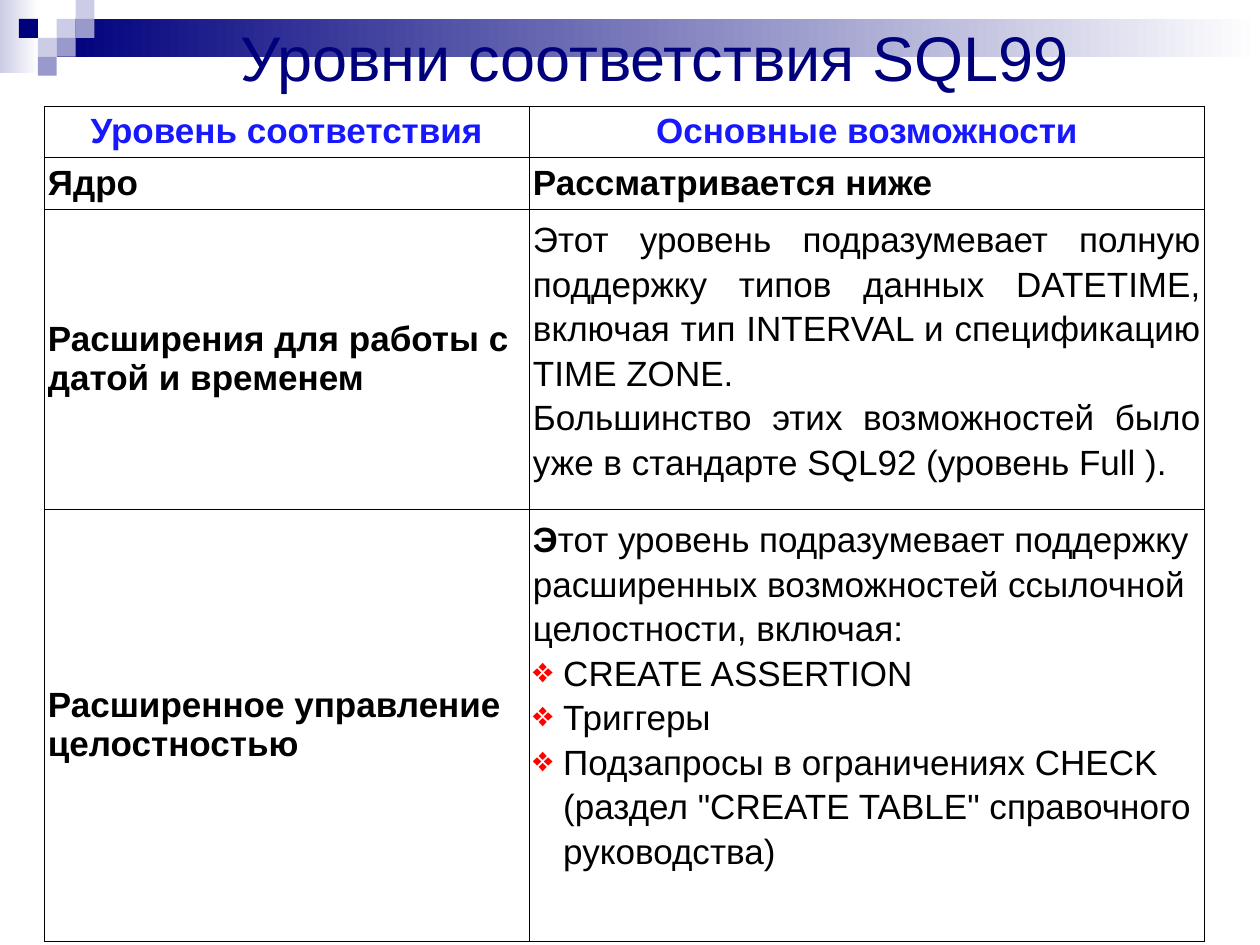
from lxml.etree import SubElement
from pptx import Presentation
from pptx.dml.color import RGBColor
from pptx.enum.shapes import MSO_SHAPE as Shape
from pptx.enum.text import MSO_ANCHOR as Anchor, MSO_AUTO_SIZE as AutoSize, PP_ALIGN as Align
from pptx.oxml import parse_xml
from pptx.oxml.ns import nsdecls, qn
from pptx.util import Inches, Pt

FONT = "Arial"
NAVY, BLUE, RED, BLACK, WHITE = "00007D", "1818FF", "FF0000", "000000", "FFFFFF"
PALE, MIDDLE = "CCCCE6", "9999CC"
UNIT = 0.15
SQUARES = [(3, 1, PALE), (4, 0, PALE), (4, 1, MIDDLE), (2, 2, PALE),
           (1, 1, NAVY), (3, 2, MIDDLE), (2, 3, MIDDLE)]
COLUMNS = [3.85, 5.36]
ROWS = [0.41, 0.41, 2.38, 3.43]
LABELS = ["Ядро", "Расширения для работы с датой и временем",
          "Расширенное управление целостностью"]
DATETIME_TEXT = [
    "Этот уровень подразумевает полную поддержку типов данных DATETIME, "
    "включая тип INTERVAL и спецификацию TIME ZONE.",
    "Большинство этих возможностей было уже в стандарте SQL92 (уровень Full ).",
]
INTEGRITY_TEXT = ("тот уровень подразумевает поддержку расширенных возможностей "
                  "ссылочной целостности, включая:")
INTEGRITY_ITEMS = [
    "CREATE ASSERTION",
    "Триггеры",
    'Подзапросы в ограничениях CHECK (раздел "CREATE TABLE" справочного руководства)',
]


def color(value):
    """Turn a hex string into a colour."""
    return RGBColor.from_string(value)


def add_block(page, left, top, width, height, start, end=None):
    """Add a borderless rectangle, plain or fading to the right."""
    block = page.shapes.add_shape(
        Shape.RECTANGLE, *(Inches(n * UNIT) for n in (left, top, width, height)))
    block.shadow.inherit = False
    block.line.fill.background()
    if end is None:
        block.fill.solid()
        block.fill.fore_color.rgb = color(start)
        return
    block.fill.gradient()
    block.fill.gradient_angle = 0
    for stop, value in zip(block.fill.gradient_stops, (start, end)):
        stop.color.rgb = color(value)


def add_run(para, text, size=20, shade=BLACK, bold=False):
    """Add a formatted run to a paragraph."""
    span = para.add_run()
    span.text = text
    span.font.name = FONT
    span.font.size = Pt(size)
    span.font.bold = bold
    span.font.color.rgb = color(shade)


def set_title(page, text):
    """Place the title in front of the header band."""
    title = page.shapes.title
    title.left, title.top, title.width, title.height = map(Inches, (0.39, 0.21, 9.61, 0.47))
    page.shapes._spTree.append(title._element)
    frame = title.text_frame
    frame.auto_size = AutoSize.NONE
    frame.vertical_anchor = Anchor.MIDDLE
    para = frame.paragraphs[0]
    para.alignment = Align.CENTER
    add_run(para, text, 36, NAVY)


def add_bullet(para):
    """Give a paragraph a red diamond and a hanging indent."""
    props = para._p.get_or_add_pPr()
    props.set("marL", str(Inches(0.24)))
    props.set("indent", str(-Inches(0.24)))
    shade = SubElement(props, qn("a:buClr"))
    SubElement(shade, qn("a:srgbClr"), val=RED)
    SubElement(props, qn("a:buChar"), char="❖")


def style_cell(cell):
    """Set the margins, white fill and thin black borders of a cell."""
    cell.margin_left = cell.margin_right = Inches(0.03)
    cell.margin_top = cell.margin_bottom = Inches(0.05)
    cell.fill.solid()
    cell.fill.fore_color.rgb = color(WHITE)
    props = cell._tc.get_or_add_tcPr()
    for index, side in enumerate("LRTB"):
        props.insert(index, parse_xml(
            f'<a:ln{side} {nsdecls("a")} w="{Pt(0.45)}"><a:solidFill>'
            f'<a:srgbClr val="{BLACK}"/></a:solidFill></a:ln{side}>'))


def fill_cell(cell, paragraphs, align=Align.LEFT, spacing=None, shade=BLACK, bullets_from=None):
    """Write paragraphs, each a list of (text, bold) runs, into a cell."""
    frame = cell.text_frame
    for index, runs in enumerate(paragraphs):
        para = frame.add_paragraph() if index else frame.paragraphs[0]
        if bullets_from is not None and index >= bullets_from:
            add_bullet(para)
        para.alignment = align
        if spacing:
            para.line_spacing = spacing
        for text, bold in runs:
            add_run(para, text, shade=shade, bold=bold)


def add_levels_table(page):
    """Add the table of conformance levels."""
    frame = page.shapes.add_table(
        len(ROWS), len(COLUMNS), Inches(0.35), Inches(0.84),
        Inches(sum(COLUMNS)), Inches(sum(ROWS)))
    table = frame.table
    table.first_row = table.horz_banding = False
    for column, width in zip(table.columns, COLUMNS):
        column.width = Inches(width)
    for row, height in zip(table.rows, ROWS):
        row.height = Inches(height)
    for cell in table.iter_cells():
        style_cell(cell)
    for index, text in enumerate(["Уровень соответствия", "Основные возможности"]):
        fill_cell(table.cell(0, index), [[(text, True)]], Align.CENTER, shade=BLUE)
    for index, text in enumerate(LABELS, 1):
        cell = table.cell(index, 0)
        fill_cell(cell, [[(text, True)]])
        if index > 1:
            cell.vertical_anchor = Anchor.MIDDLE
    fill_cell(table.cell(1, 1), [[("Рассматривается ниже", True)]], Align.JUSTIFY)
    fill_cell(table.cell(2, 1), [[(text, False)] for text in DATETIME_TEXT], Align.JUSTIFY, 1.14)
    integrity = [[("Э", True), (INTEGRITY_TEXT, False)]]
    integrity += [[(text, False)] for text in INTEGRITY_ITEMS]
    fill_cell(table.cell(3, 1), integrity, spacing=1.14, bullets_from=1)


def main():
    """Build the slide and save the deck."""
    deck = Presentation()
    deck.slide_width, deck.slide_height = Inches(10), Inches(7.5)
    page = deck.slides.add_slide(deck.slide_layouts[5])
    add_block(page, 0, 0, 2.07, 3.87, PALE, WHITE)
    add_block(page, 3, 1, 10 / UNIT - 3, 2, NAVY, WHITE)
    for column, row, shade in SQUARES:
        add_block(page, column, row, 1, 1, shade)
    set_title(page, "Уровни соответствия SQL99")
    add_levels_table(page)
    deck.save("out.pptx")


if __name__ == "__main__":
    main()
